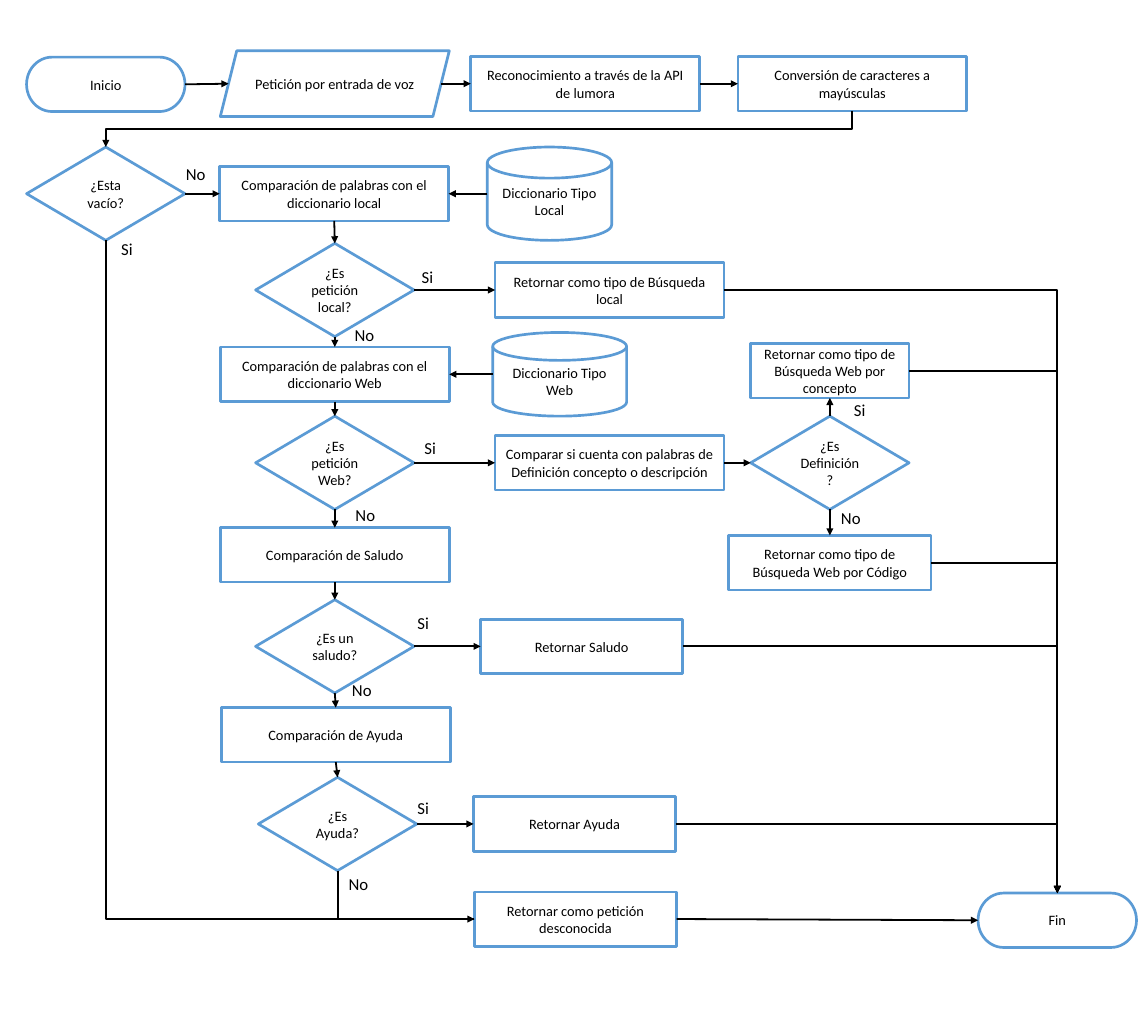
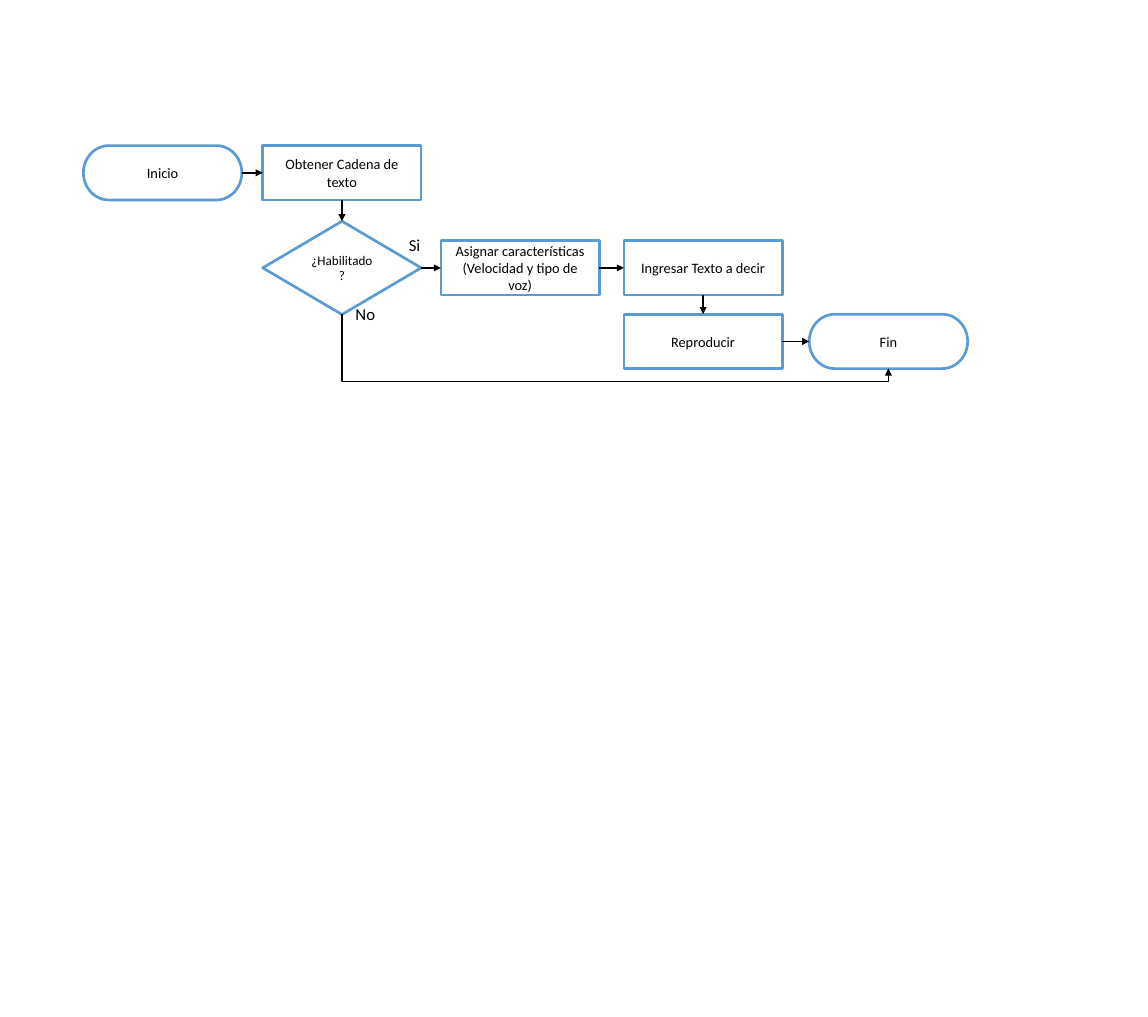
import pptx
import pptx.dml.color
import pptx.enum.shapes
import pptx.enum.text
import pptx.oxml.ns
import pptx.util
import lxml.etree

Pt = pptx.util.Pt
Preset = pptx.enum.shapes.MSO_SHAPE
Connector = pptx.enum.shapes.MSO_CONNECTOR

WHITE = pptx.dml.color.RGBColor(0xFF, 0xFF, 0xFF)
BLUE = pptx.dml.color.RGBColor(0x5B, 0x9B, 0xD5)
BLACK = pptx.dml.color.RGBColor(0x00, 0x00, 0x00)
FONT = "Calibri"

KINDS = {
    "terminator": (Preset.FLOWCHART_TERMINATOR, 132.5, 45.5),
    "input": (Preset.PARALLELOGRAM, 191.5, 55),
    "process": (Preset.RECTANGLE, 191.5, 45.5),
    "result": (Preset.RECTANGLE, 169, 45.5),
    "step": (Preset.RECTANGLE, 132.5, 45.5),
    "decision": (Preset.DIAMOND, 132.5, 78),
    "local store": (Preset.FLOWCHART_MAGNETIC_DISK, 104, 78),
    "web store": (Preset.FLOWCHART_MAGNETIC_DISK, 112, 70),
}
SIDES = {"top": 0, "left": 1, "bottom": 2, "right": 3}
UNGLUED = (Preset.PARALLELOGRAM, Preset.FLOWCHART_MAGNETIC_DISK)


def write(paragraph, text, size):
    """Add one black run to a paragraph."""
    run = paragraph.add_run()
    run.text = text
    run.font.name = FONT
    run.font.size = Pt(size)
    run.font.color.rgb = BLACK


def add_node(slide, box, kind, text, center_x, center_y, size=12):
    """Draw a flowchart symbol centred on a point of the box."""
    preset, width, height = KINDS[kind]
    node = slide.shapes.add_shape(
        preset,
        Pt(box[0] + center_x - width / 2), Pt(box[1] + center_y - height / 2),
        Pt(width), Pt(height))
    node.shadow.inherit = False
    node.fill.solid()
    node.fill.fore_color.rgb = WHITE
    node.line.color.rgb = BLUE
    node.line.width = Pt(2.25)
    frame = node.text_frame
    frame.word_wrap = True
    frame.vertical_anchor = pptx.enum.text.MSO_ANCHOR.MIDDLE
    frame.paragraphs[0].alignment = pptx.enum.text.PP_ALIGN.CENTER
    write(frame.paragraphs[0], text, size)
    return node


def add_answer(slide, box, text, left, top):
    """Place a Si or No beside a decision."""
    answer = slide.shapes.add_textbox(
        Pt(box[0] + left), Pt(box[1] + top), Pt(24.5 if text == "Si" else 31), Pt(24.5))
    answer.text_frame.word_wrap = False
    answer.text_frame.auto_size = pptx.enum.text.MSO_AUTO_SIZE.SHAPE_TO_FIT_TEXT
    write(answer.text_frame.paragraphs[0], text, 14)


def side_point(node, side):
    """Return the middle of one side of a node."""
    x, y = node.left + node.width // 2, node.top + node.height // 2
    inset = 0
    if node.auto_shape_type == Preset.PARALLELOGRAM:
        inset = int(node.height * node.adjustments[0] / 2)
    return {
        "top": (x, node.top),
        "left": (node.left + inset, y),
        "bottom": (x, node.top + node.height),
        "right": (node.left + node.width - inset, y),
    }[side]


def join(slide, form, start, start_side, end, end_side, arrow=True):
    """Draw a connector glued to the sides of two nodes."""
    link = slide.shapes.add_connector(
        form, *side_point(start, start_side), *side_point(end, end_side))
    if start.auto_shape_type not in UNGLUED:
        link.begin_connect(start, SIDES[start_side])
    if end.auto_shape_type not in UNGLUED:
        link.end_connect(end, SIDES[end_side])
    link.line.color.rgb = BLACK
    link.line.width = Pt(1.5)
    if arrow:
        tail = lxml.etree.SubElement(link.line._get_or_add_ln(), pptx.oxml.ns.qn("a:tailEnd"))
        tail.set("type", "triangle")
    lxml.etree.SubElement(link._element.spPr, pptx.oxml.ns.qn("a:effectLst"))
    return link


def add_elbow(slide, start, start_side, end, end_side, arrow=True, bend=None):
    """Draw a bent connector that leaves to the right or downwards."""
    link = join(slide, Connector.ELBOW, start, start_side, end, end_side, arrow)
    properties = link._element.spPr
    if {start_side, end_side} & {"left", "right"}:
        properties.prstGeom.set("prst", "bentConnector2")
    if bend:
        properties.prstGeom.rewrite_guides([("adj1", round(bend * 100000))])
    if start_side == "bottom":
        x0, y0 = side_point(start, start_side)
        x1, y1 = side_point(end, end_side)
        link.width, link.height = abs(y1 - y0), abs(x1 - x0)
        link.left = (x0 + x1 - link.width) // 2
        link.top = (y0 + y1 - link.height) // 2
        properties.xfrm.flipH = x1 > x0
        properties.xfrm.flipV = False
        properties.xfrm.rot = 270.0 if x1 > x0 else 90.0


def add_flow(slide, box, symbols, arrows, elbows, answers):
    """Draw the symbols, connectors and answers of one flowchart."""
    nodes = {key: add_node(slide, box, *symbol) for key, symbol in symbols.items()}
    for start, start_side, end, end_side in arrows:
        join(slide, Connector.STRAIGHT, nodes[start], start_side, nodes[end], end_side)
    for start, start_side, end, end_side, *options in elbows:
        add_elbow(slide, nodes[start], start_side, nodes[end], end_side, *options)
    for answer in answers:
        add_answer(slide, box, *answer)


def voice_request_flow(slide, box):
    """Draw how a spoken request is classified."""
    symbols = {
        "start": ("terminator", "Inicio", 66, 28),
        "voice": ("input", "Petición por entrada de voz", 257.5, 27.5),
        "recognition": ("process", "Reconocimiento a través de la API de lumora", 467, 27.5),
        "capitals": ("process", "Conversión de caracteres a mayúsculas", 690.3, 27.5),
        "empty?": ("decision", "¿Esta vacío?", 66, 119.5),
        "local words": ("local store", "Diccionario Tipo Local", 437, 119.5),
        "web words": ("web store", "Diccionario Tipo Web", 445.5, 270.5),
        "compare local": ("process", "Comparación de palabras con el diccionario local", 257, 119.5),
        "local?": ("decision", "¿Es petición local?", 257.5, 200),
        "compare web": ("process", "Comparación de palabras con el diccionario Web", 257.5, 270.5),
        "web?": ("decision", "¿Es petición Web?", 257.5, 344.5),
        "compare greeting": ("process", "Comparación de Saludo", 257.5, 421.5),
        "greeting?": ("decision", "¿Es un saludo?", 257.5, 498),
        "compare help": ("process", "Comparación de Ayuda", 258.3, 572),
        "help?": ("decision", "¿Es Ayuda?", 259.8, 646.5),
        "compare definition": (
            "process", "Comparar si cuenta con palabras de Definición concepto o descripción",
            487.3, 344.5),
        "definition?": ("decision", "¿Es Definición?", 671.5, 344.5),
        "local search": ("process", "Retornar como tipo de Búsqueda local", 487.3, 200),
        "concept search": ("step", "Retornar como tipo de Búsqueda Web por concepto", 671.5, 267.5),
        "code search": ("result", "Retornar como tipo de Búsqueda Web por Código", 671.5, 428),
        "greeting": ("result", "Retornar Saludo", 464, 498),
        "help": ("result", "Retornar Ayuda", 458, 646.5),
        "unknown": ("result", "Retornar como petición desconocida", 458.8, 726),
        "end": ("terminator", "Fin", 861.7, 727),
    }
    arrows = [
        ("start", "right", "voice", "left"),
        ("voice", "right", "recognition", "left"),
        ("recognition", "right", "capitals", "left"),
        ("empty?", "right", "compare local", "left"),
        ("local words", "left", "compare local", "right"),
        ("web words", "left", "compare web", "right"),
        ("local?", "right", "local search", "left"),
        ("web?", "right", "compare definition", "left"),
        ("compare definition", "right", "definition?", "left"),
        ("definition?", "top", "concept search", "bottom"),
        ("definition?", "bottom", "code search", "top"),
        ("greeting?", "right", "greeting", "left"),
        ("help?", "right", "help", "left"),
        ("unknown", "right", "end", "left"),
    ]
    column = ["compare local", "local?", "compare web", "web?",
              "compare greeting", "greeting?", "compare help", "help?"]
    arrows += [(upper, "bottom", lower, "top") for upper, lower in zip(column, column[1:])]
    returns = ["local search", "concept search", "code search", "greeting", "help"]
    elbows = [(result, "right", "end", "top") for result in returns]
    elbows += [
        ("capitals", "bottom", "empty?", "top"),
        ("help?", "bottom", "unknown", "left"),
        ("empty?", "bottom", "unknown", "left", False),
    ]
    answers = [
        ("No", 125.8, 90.7), ("Si", 71.8, 153.3),
        ("Si", 323, 177), ("No", 267, 225.3),
        ("Si", 325.3, 320.4), ("No", 267.7, 375.8),
        ("Si", 684.5, 288), ("No", 673.7, 378.7),
        ("Si", 319.5, 466.5), ("No", 264.8, 522.7),
        ("Si", 319.5, 621.3), ("No", 262, 684.7),
    ]
    add_flow(slide, box, symbols, arrows, elbows, answers)


def speech_flow(slide, box):
    """Draw how a text is spoken aloud."""
    symbols = {
        "start": ("terminator", "Inicio", 66, 22.5),
        "text": ("step", "Obtener Cadena de texto", 216, 22.5),
        "enabled?": ("decision", "¿Habilitado?", 216, 102, 11),
        "voice": ("step", "Asignar características (Velocidad y tipo de voz)", 365, 102),
        "entry": ("step", "Ingresar Texto a decir", 518, 102),
        "playback": ("step", "Reproducir", 518, 163.5),
        "end": ("terminator", "Fin", 673, 163.5),
    }
    arrows = [
        ("start", "right", "text", "left"),
        ("text", "bottom", "enabled?", "top"),
        ("enabled?", "right", "voice", "left"),
        ("voice", "right", "entry", "left"),
        ("entry", "bottom", "playback", "top"),
        ("playback", "right", "end", "left"),
    ]
    elbows = [("enabled?", "bottom", "end", "bottom", True, 1.24)]
    answers = [("Si", 264.8, 71), ("No", 220.2, 128.6)]
    add_flow(slide, box, symbols, arrows, elbows, answers)


def main():
    """Build and save the presentation."""
    presentation = pptx.Presentation()
    presentation.slide_width = Pt(960)
    presentation.slide_height = Pt(850.4)
    blank = presentation.slide_layouts[6]
    voice_request_flow(presentation.slides.add_slide(blank), (22.5, 42.5))
    speech_flow(presentation.slides.add_slide(blank), (70, 122))
    presentation.save("out.pptx")


main()
